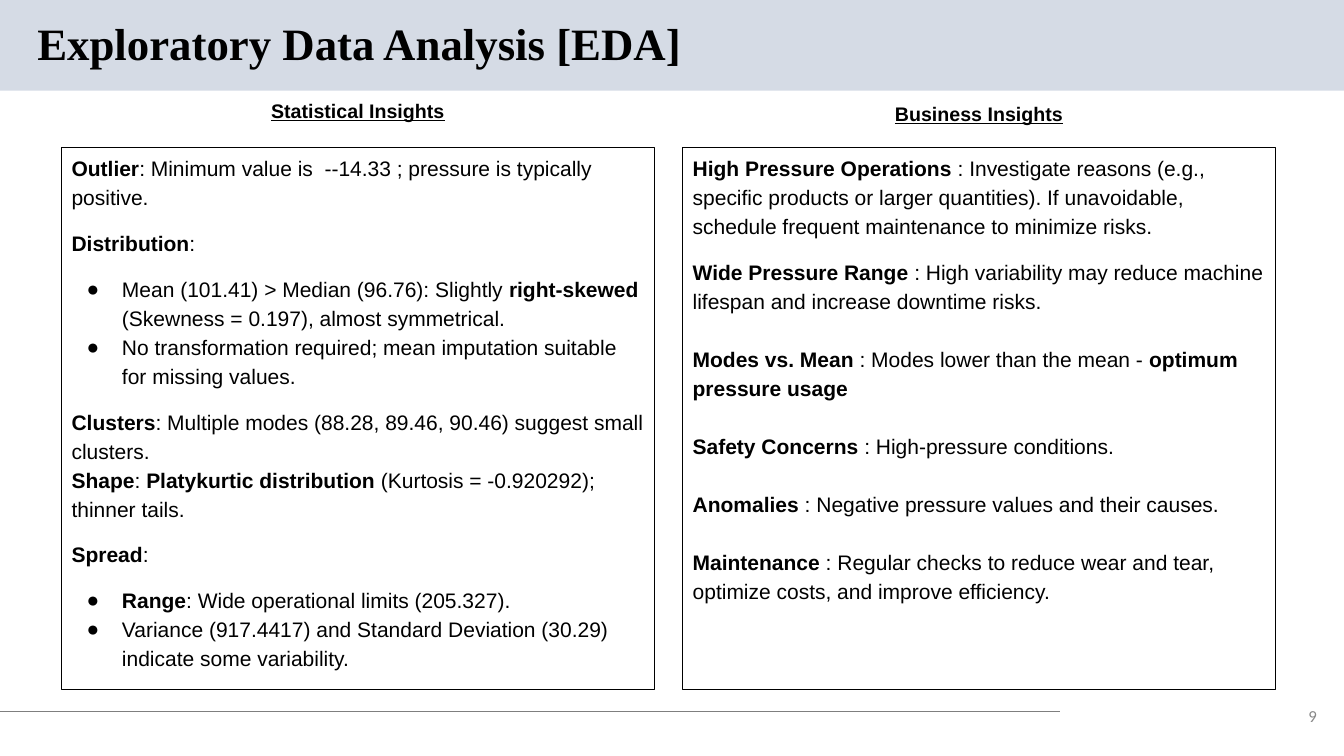
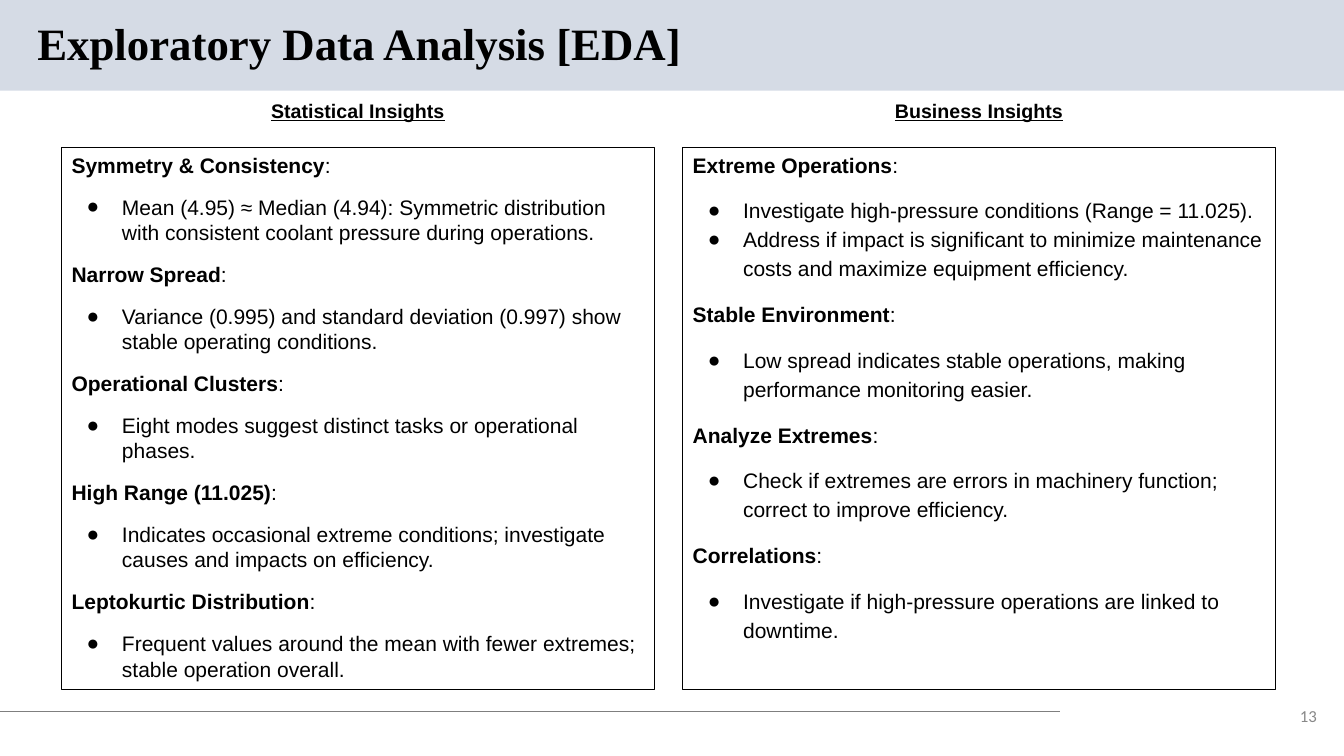
from dataclasses import dataclass

from lxml.etree import SubElement
from pptx import Presentation
from pptx.dml.color import RGBColor as Rgb
from pptx.enum.shapes import MSO_CONNECTOR as Link, MSO_SHAPE as Kind
from pptx.enum.text import MSO_ANCHOR as Anchor, MSO_AUTO_SIZE as Fit, PP_ALIGN as Align
from pptx.oxml.ns import qn
from pptx.util import Pt

PX = 9144  # 100 px to the inch


@dataclass(frozen=True)
class Theme:
    ink: str = "000000"
    band: str = "D5DBE5"
    rule: str = "7F7F7F"
    mute: str = "888888"
    serif: str = "Times New Roman"
    sans: str = "Arial"
    num: str = "Calibri"
    title: int = 32
    head: int = 14
    body: int = 15
    small: int = 12
    thin: float = 0.75


@dataclass(frozen=True)
class Item:
    """A paragraph; the parts between bars are bold."""
    text: str
    gap: float = 0
    dot: bool = False
    lead: float = 1.15


@dataclass(frozen=True)
class Panel:
    head: str
    items: list[Item]
    top: int = 93


@dataclass(frozen=True)
class Page:
    num: str
    panels: list[Panel]


T = Theme()
GAP = 12
LINE = 20.7
WIDE, HIGH = 1333, 750
LEFT, STEP, COL = 61, 616, 588
TITLE = "Exploratory Data Analysis [EDA]"


def topics(pairs: list[tuple[str, list[str]]], lead: float) -> list[Item]:
    """Turn each topic and its points into a heading with bullets."""
    out = []
    for name, points in pairs:
        first = not out
        out.append(Item(f"|{name}|:", 0 if first else GAP, lead=1 if first else lead))
        out += [Item(point, 0 if i else GAP, True, lead) for i, point in enumerate(points)]
    return out


PAGES = [
    Page("9", [
        Panel("Statistical Insights", [
            Item("|Outlier|: Minimum value is  --14.33 ; pressure is typically positive."),
            Item("|Distribution|:", GAP),
            Item("Mean (101.41) > Median (96.76): Slightly |right-skewed| "
                 "(Skewness = 0.197), almost symmetrical.", GAP, True),
            Item("No transformation required; mean imputation suitable for missing values.", dot=True),
            Item("|Clusters|: Multiple modes (88.28, 89.46, 90.46) suggest small clusters.", GAP),
            Item("|Shape|: |Platykurtic distribution| (Kurtosis = -0.920292); thinner tails."),
            Item("|Spread|:", GAP),
            Item("|Range|: Wide operational limits (205.327).", GAP, True),
            Item("Variance (917.4417) and Standard Deviation (30.29) indicate some variability.", dot=True),
        ]),
        Panel("Business Insights", [
            Item("|High Pressure Operations |: Investigate reasons (e.g., specific products or larger "
                 "quantities). If unavoidable, schedule frequent maintenance to minimize risks."),
            Item("|Wide Pressure Range |: High variability may reduce machine lifespan "
                 "and increase downtime risks.", GAP),
            Item("|Modes vs. Mean |: Modes lower than the mean - |optimum pressure usage|", LINE),
            Item("|Safety Concerns |: High-pressure conditions.", LINE),
            Item("|Anomalies |: Negative pressure values and their causes.", LINE),
            Item("|Maintenance |: Regular checks to reduce wear and tear, optimize costs, "
                 "and improve efficiency.", LINE),
        ], 96),
    ]),
    Page("13", [
        Panel("Statistical Insights", topics([
            ("Symmetry & Consistency", ["Mean (4.95) ≈ Median (4.94): Symmetric distribution with "
                                        "consistent coolant pressure during operations."]),
            ("Narrow Spread", ["Variance (0.995) and standard deviation (0.997) show "
                               "stable operating conditions."]),
            ("Operational Clusters", ["Eight modes suggest distinct tasks or operational phases."]),
            ("High Range (11.025)", ["Indicates occasional extreme conditions; investigate causes "
                                     "and impacts on efficiency."]),
            ("Leptokurtic Distribution", ["Frequent values around the mean with fewer extremes; "
                                          "stable operation overall."]),
        ], 1)),
        Panel("Business Insights", topics([
            ("Extreme Operations", ["Investigate high-pressure conditions (Range = 11.025).",
                                    "Address if impact is significant to minimize maintenance costs "
                                    "and maximize equipment efficiency."]),
            ("Stable Environment", ["Low spread indicates stable operations, making "
                                    "performance monitoring easier."]),
            ("Analyze Extremes", ["Check if extremes are errors in machinery function; "
                                  "correct to improve efficiency."]),
            ("Correlations", ["Investigate if high-pressure operations are linked to downtime."]),
        ], 1.15)),
    ]),
]


def place(shape, x: int, y: int, w: int, h: int) -> None:
    shape.left, shape.top, shape.width, shape.height = (v * PX for v in (x, y, w, h))


def setup(shape, anchor=Anchor.TOP):
    """Fix the wrap, fit and margins of a text frame and return it."""
    frame = shape.text_frame
    frame.word_wrap, frame.auto_size, frame.vertical_anchor = True, Fit.NONE, anchor
    frame.margin_left = frame.margin_right = 10 * PX
    frame.margin_top = frame.margin_bottom = 5 * PX
    return frame


def mark(para, dot: bool) -> None:
    """Give a paragraph a round bullet, or clear the inherited one."""
    props = para._p.get_or_add_pPr()
    props.set("marL", str(50 * PX if dot else 0))
    props.set("indent", str(-35 * PX if dot else 0))
    if not dot:
        SubElement(props, qn("a:buNone"))
        return
    SubElement(SubElement(props, qn("a:buClr")), qn("a:srgbClr"), val=T.ink)
    SubElement(props, qn("a:buFont"), typeface=T.sans)
    SubElement(props, qn("a:buChar"), char="●")


def write(para, text: str, *, size: int, face: str = T.sans, tint: str = T.ink,
          bold: bool = False, under: bool = False, align=Align.LEFT,
          lead: float = 1, gap: float = 0, dot: bool = False) -> None:
    mark(para, dot)
    para.alignment, para.line_spacing = align, lead
    para.space_before, para.space_after = Pt(gap), Pt(0)
    for i, part in enumerate(text.split("|")):
        if part:
            run = para.add_run()
            run.text = part
            font = run.font
            font.size, font.name, font.color.rgb = Pt(size), face, Rgb.from_string(tint)
            font.bold, font.underline = bold or i % 2 == 1, under


def dress(layout, slide) -> None:
    """Build the band and footer rule, then move them to the layout."""
    band = slide.shapes.add_shape(Kind.RECTANGLE, 0, 0, WIDE * PX, 90 * PX)
    band.shadow.inherit = False
    band.fill.solid()
    band.fill.fore_color.rgb = Rgb.from_string(T.band)
    band.line.fill.background()
    rule = slide.shapes.add_connector(Link.STRAIGHT, 0, 706 * PX, 1051 * PX, 706 * PX)
    rule.line.color.rgb = Rgb.from_string(T.rule)
    rule.line.width = Pt(T.thin)
    SubElement(rule.element.spPr, qn("a:effectLst"))
    for shape in (rule, band):
        layout.shapes.element.insert(2, shape.element)


def draw(slide, page: Page) -> None:
    title = slide.shapes.title
    place(title, 27, 16, 1011, 59)
    write(setup(title, Anchor.MIDDLE).paragraphs[0], TITLE,
          size=T.title, face=T.serif, bold=True, lead=0.9)

    for i, panel in enumerate(page.panels):
        x = LEFT + i * STEP
        head, body = (slide.placeholders[2 * i + k] for k in (1, 2))
        place(head, x, panel.top, COL, 34)
        write(setup(head).paragraphs[0], panel.head, size=T.head,
              bold=True, under=True, align=Align.CENTER)
        place(body, x, 146, COL, 538)
        body.line.color.rgb = Rgb.from_string(T.ink)
        body.line.width = Pt(T.thin)
        frame = setup(body)
        for n, item in enumerate(panel.items):
            para = frame.add_paragraph() if n else frame.paragraphs[0]
            write(para, item.text, size=T.body, lead=item.lead, gap=item.gap, dot=item.dot)

    num = slide.shapes.add_textbox(0, 0, 0, 0)
    place(num, 1273, 694, 43, 32)
    write(setup(num, Anchor.MIDDLE).paragraphs[0], page.num,
          size=T.small, face=T.num, tint=T.mute, align=Align.RIGHT)


def main() -> None:
    deck = Presentation()
    deck.slide_width, deck.slide_height = WIDE * PX, HIGH * PX
    layout = deck.slide_layouts.get_by_name("Comparison")
    for i, page in enumerate(PAGES):
        slide = deck.slides.add_slide(layout)
        if i == 0:
            dress(layout, slide)
        draw(slide, page)
    deck.save("out.pptx")


if __name__ == "__main__":
    main()
